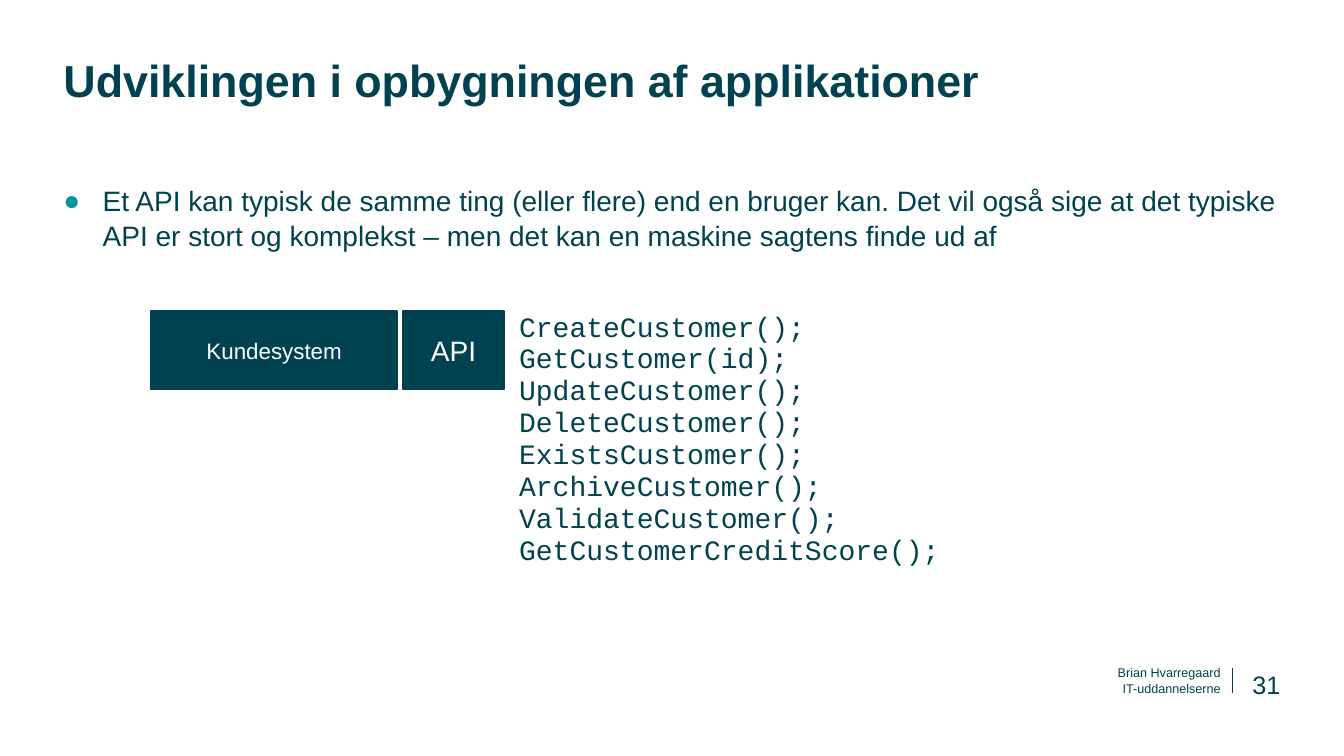
from dataclasses import dataclass

from lxml import etree
from pptx import Presentation
from pptx.dml.color import RGBColor
from pptx.enum.shapes import MSO_CONNECTOR, MSO_SHAPE
from pptx.enum.text import MSO_ANCHOR, PP_ALIGN
from pptx.oxml.ns import qn
from pptx.shapes.base import BaseShape
from pptx.slide import Slide
from pptx.util import Pt

RECT, LINE = MSO_SHAPE.RECTANGLE, MSO_CONNECTOR.STRAIGHT
TOP, MID, LOW = MSO_ANCHOR.TOP, MSO_ANCHOR.MIDDLE, MSO_ANCHOR.BOTTOM
LEFT, MIDST, RIGHT = PP_ALIGN.LEFT, PP_ALIGN.CENTER, PP_ALIGN.RIGHT
DARK, TEAL, WHITE = "004250", "0096A0", "FFFFFF"
INDENT = 28

CALLS = "\n".join([
    "CreateCustomer();",
    "GetCustomer(id);",
    "UpdateCustomer();",
    "DeleteCustomer();",
    "ExistsCustomer();",
    "ArchiveCustomer();",
    "ValidateCustomer();",
    "GetCustomerCreditScore();",
])


@dataclass
class Item:
    text: str
    left: float
    top: float
    width: float
    height: float
    size: float
    align: PP_ALIGN = LEFT
    anchor: MSO_ANCHOR = TOP
    space: float = 1.0
    after: float = 0
    bold: bool = False
    face: str = "Arial"
    box: bool = False
    bullet: bool = False


def color(code: str) -> RGBColor:
    return RGBColor.from_string(code)


def assign(target: object, values: dict) -> None:
    for name, value in values.items():
        setattr(target, name, value)


def add_bullet(para) -> None:
    props = para._p.get_or_add_pPr()
    props.set("marL", str(Pt(INDENT)))
    props.set("indent", str(Pt(-INDENT)))
    tint = etree.SubElement(props, qn("a:buClr"))
    etree.SubElement(tint, qn("a:srgbClr"), val=TEAL)
    etree.SubElement(props, qn("a:buFont"), typeface="Arial")
    etree.SubElement(props, qn("a:buChar"), char="●")


def fill_text(shape: BaseShape, item: Item) -> None:
    side, edge = (Pt(6), Pt(3)) if item.box else (0, 0)
    frame = shape.text_frame
    assign(frame, {
        "word_wrap": True, "vertical_anchor": item.anchor,
        "margin_left": side, "margin_right": side,
        "margin_top": edge, "margin_bottom": edge,
    })
    para = frame.paragraphs[0]
    para.text = item.text
    assign(para, {
        "alignment": item.align, "line_spacing": item.space,
        "space_before": Pt(0), "space_after": Pt(item.after),
    })
    if item.bullet:
        add_bullet(para)
    for run in para.runs:
        assign(run.font, {"name": item.face, "size": Pt(item.size), "bold": item.bold})
        run.font.color.rgb = color(WHITE if item.box else DARK)


def draw(slide: Slide, item: Item) -> None:
    place = [Pt(v) for v in (item.left, item.top, item.width, item.height)]
    if item.box:
        shape = slide.shapes.add_shape(RECT, *place)
        shape.shadow.inherit = False
        shape.fill.solid()
        shape.fill.fore_color.rgb = color(DARK)
        shape.line.color.rgb = color(DARK)
        shape.line.width = Pt(1)
    else:
        shape = slide.shapes.add_textbox(*place)
    fill_text(shape, item)


def draw_rule(slide: Slide, left: float, top: float, low: float) -> None:
    rule = slide.shapes.add_connector(LINE, Pt(left), Pt(top), Pt(left), Pt(low))
    rule.line.color.rgb = color(DARK)
    rule.line.width = Pt(0.5)
    etree.SubElement(rule._element.spPr, qn("a:effectLst"))


ITEMS = [
    # Title and body
    Item("Udviklingen i opbygningen af applikationer", 45.36, 42.5, 870, 72, 32,
         space=0.88, bold=True),
    Item("Et API kan typisk de samme ting (eller flere) end en bruger kan. "
         "Det vil også sige at det typiske API er stort og komplekst – "
         "men det kan en maskine sagtens finde ud af",
         45.36, 130.3, 870, 319, 20, space=1.04, after=14.2, bullet=True),
    # System, its interface and the calls
    Item("Kundesystem", 108, 222, 175.7, 56.2, 16, MIDST, MID, box=True),
    Item("API", 288, 222, 72, 56.2, 20, MIDST, MID, box=True),
    Item(CALLS, 370.8, 222.5, 504, 184.3, 20, space=0.95, after=14.2,
         face="Courier New"),
    # Footer
    Item("Brian Hvarregaard", 569.5, 474.5, 302.4, 11.5, 9, RIGHT, LOW),
    Item("IT-uddannelserne", 569.5, 486, 302.4, 11.5, 9, RIGHT, LOW),
    Item("31", 880.5, 458.6, 34, 41, 18, RIGHT, LOW),
]


def main() -> None:
    deck = Presentation()
    assign(deck, {"slide_width": Pt(960), "slide_height": Pt(540)})
    slide = deck.slides.add_slide(deck.slide_layouts[6])
    for item in ITEMS:
        draw(slide, item)
    draw_rule(slide, 880, 477.3, 494.7)
    deck.save("out.pptx")


if __name__ == "__main__":
    main()
